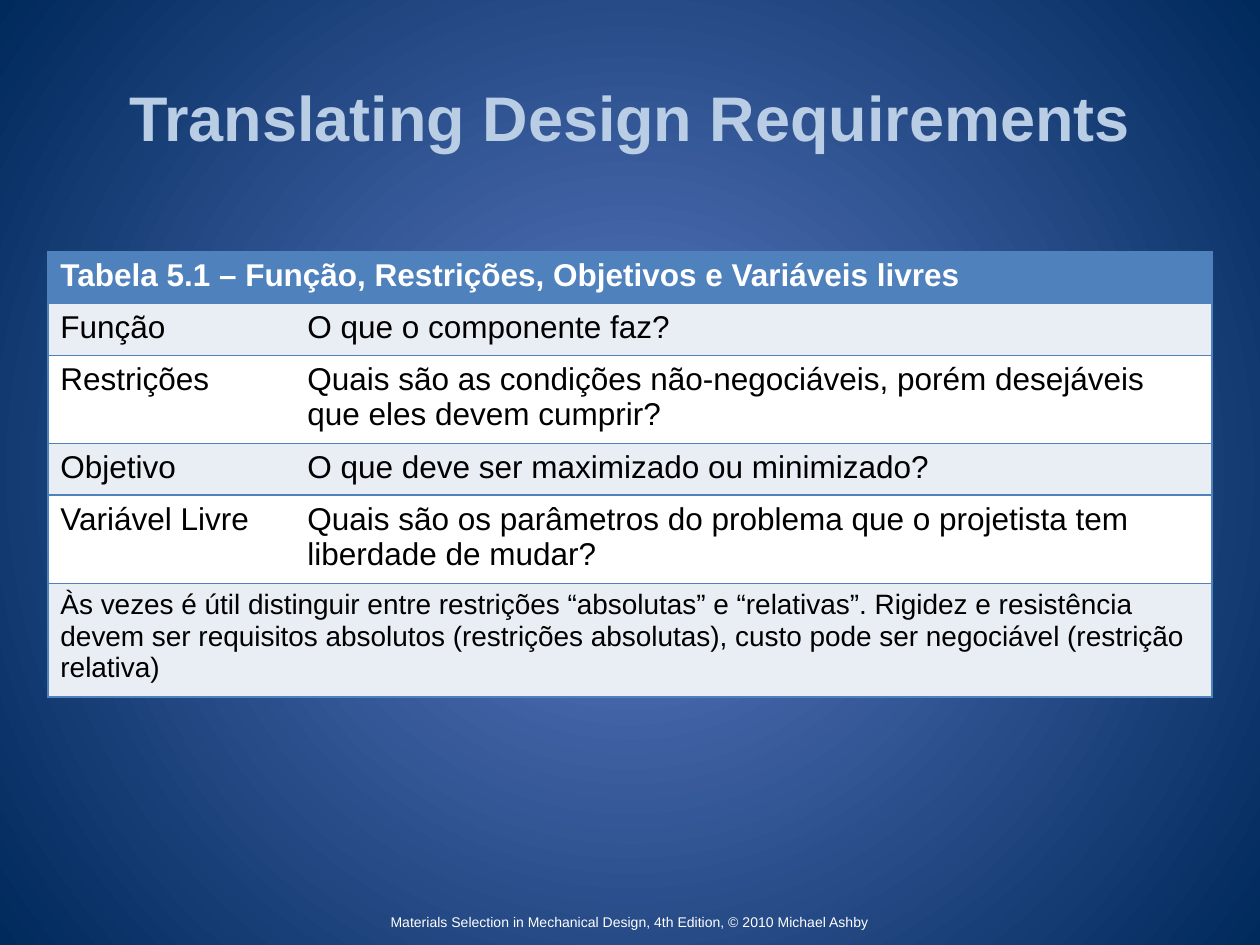
from typing import NamedTuple

from lxml import etree
from pptx import Presentation
from pptx.dml.color import RGBColor
from pptx.enum.text import MSO_ANCHOR, PP_ALIGN
from pptx.oxml.ns import qn
from pptx.util import Inches, Pt

CENTER, MIDDLE = PP_ALIGN.CENTER, MSO_ANCHOR.MIDDLE
FONT = "Arial"
TITLE_ONLY = 5
COLORS = {
    "glow": "5E7CC5", "edge": "00295C", "title": "B9CDE5", "white": "FFFFFF",
    "black": "000000", "accent": "4F81BD", "band": "E9EDF4",
}


class Row(NamedTuple):
    texts: tuple[str, ...]  # a single text spans both columns
    height: float
    fill: str
    size: int = 18
    color: str = "black"
    bold: bool = False


ROWS = [
    Row(("Tabela 5.1 – Função, Restrições, Objetivos e Variáveis livres",),
        0.41, "accent", color="white", bold=True),
    Row(("Função", "O que o componente faz?"), 0.41, "band"),
    Row(("Restrições", "Quais são as condições não-negociáveis, porém desejáveis "
         "que eles devem cumprir?"), 0.66, "white"),
    Row(("Objetivo", "O que deve ser maximizado ou minimizado?"), 0.41, "band"),
    Row(("Variável Livre", "Quais são os parâmetros do problema que o projetista tem "
         "liberdade de mudar?"), 0.66, "white"),
    Row(("Às vezes é útil distinguir entre restrições “absolutas” e “relativas”. "
         "Rigidez e resistência devem ser requisitos absolutos (restrições absolutas), "
         "custo pode ser negociável (restrição relativa)",), 0.84, "band", size=16),
]
COLUMNS = (1.96, 7.28)


def rgb(name: str) -> RGBColor:
    return RGBColor.from_string(COLORS[name])


def add_text(tf, text: str, size: int, color: str, bold: bool = False, align=None) -> None:
    tf.word_wrap = True
    p = tf.paragraphs[0]
    p.alignment = align
    r = p.add_run()
    r.text = text
    r.font.name, r.font.size, r.font.bold = FONT, Pt(size), bold
    r.font.color.rgb = rgb(color)


def set_background(s) -> None:
    fill = s.background.fill
    fill.gradient()
    for stop, name in zip(fill.gradient_stops, ("glow", "edge")):
        stop.color.rgb = rgb(name)
    grad = s.element.find(".//" + qn("a:gradFill"))
    grad.remove(grad.find(qn("a:lin")))
    radial = etree.SubElement(grad, qn("a:path"), {"path": "circle"})
    etree.SubElement(radial, qn("a:fillToRect"), dict.fromkeys("ltrb", "50000"))


def set_borders(cell, visible: str) -> None:
    """Draw the sides named in visible (L, R, T, B) and clear the others."""
    tcPr = cell._tc.get_or_add_tcPr()
    for i, side in enumerate("LRTB"):
        ln = etree.Element(qn("a:ln" + side), {"w": str(Pt(1))})
        if side in visible:
            solid = etree.SubElement(ln, qn("a:solidFill"))
            etree.SubElement(solid, qn("a:srgbClr"), {"val": COLORS["accent"]})
        else:
            etree.SubElement(ln, qn("a:noFill"))
        tcPr.insert(i, ln)


def add_requirements_table(s, rows: list[Row]) -> None:
    table = s.shapes.add_table(
        len(rows), len(COLUMNS), Inches(0.38), Inches(2), Inches(sum(COLUMNS)),
        Inches(sum(row.height for row in rows))).table
    for column, width in zip(table.columns, COLUMNS):
        column.width = Inches(width)
    for i, row in enumerate(rows):
        table.rows[i].height = Inches(row.height)
        cells = [table.cell(i, j) for j in range(len(COLUMNS))]
        merged = len(row.texts) == 1
        if merged:
            cells[0].merge(cells[-1])
        for cell, sides in zip(cells, ("LTB", "RTB")):
            cell.fill.solid()
            cell.fill.fore_color.rgb = rgb(row.fill)
            set_borders(cell, "LRTB" if merged else sides)
        for cell, text in zip(cells, row.texts):
            add_text(cell.text_frame, text, row.size, row.color, row.bold)


def main() -> None:
    prs = Presentation()
    prs.slide_width, prs.slide_height = Inches(10), Inches(7.5)
    s = prs.slides.add_slide(prs.slide_layouts[TITLE_ONLY])
    set_background(s)

    # Title
    title = s.shapes.title
    title.left, title.top = Inches(0.5), Inches(0.3)
    title.width, title.height = Inches(9), Inches(1.25)
    title.text_frame.vertical_anchor = MIDDLE
    add_text(title.text_frame, "Translating Design Requirements", 36, "title", True, CENTER)

    # Copyright line
    footer = s.shapes.add_textbox(Inches(0), Inches(7.17), Inches(10), Inches(0.3))
    footer.text_frame.vertical_anchor = MIDDLE
    add_text(footer.text_frame,
             "Materials Selection in Mechanical Design, 4th Edition, © 2010 Michael Ashby",
             8, "white", align=CENTER)

    add_requirements_table(s, ROWS)
    prs.save("out.pptx")


if __name__ == "__main__":
    main()
